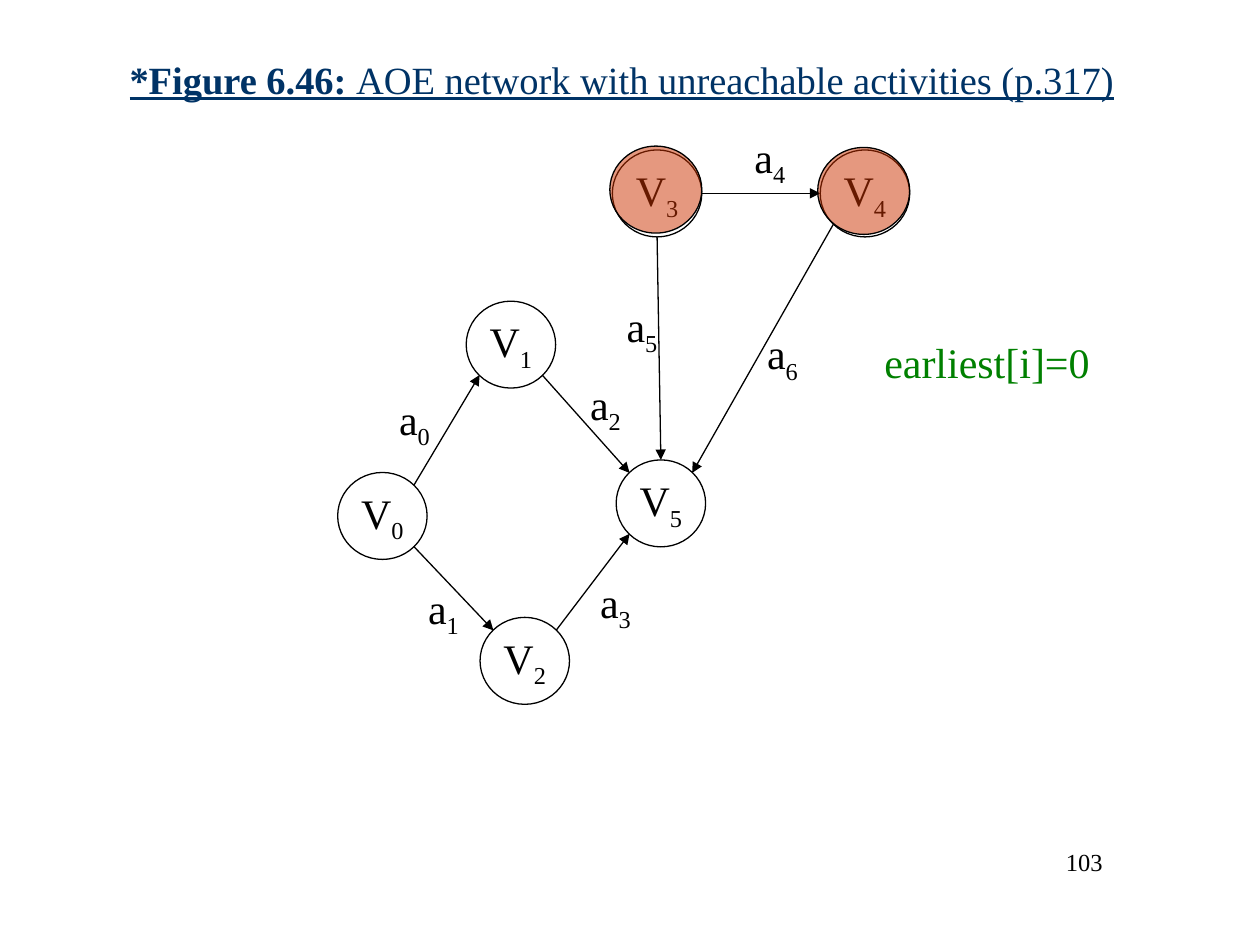
from lxml.etree import SubElement
from pptx import Presentation
from pptx.dml.color import RGBColor
from pptx.enum.shapes import MSO_CONNECTOR, MSO_SHAPE
from pptx.enum.text import MSO_ANCHOR, MSO_AUTO_SIZE, PP_ALIGN
from pptx.oxml.ns import qn
from pptx.util import Inches, Pt

BLACK = RGBColor(0x00, 0x00, 0x00)
WHITE = RGBColor(0xFF, 0xFF, 0xFF)
NAVY = RGBColor(0x00, 0x33, 0x66)
GREEN = RGBColor(0x00, 0x80, 0x00)
RED = RGBColor(0xCC, 0x33, 0x00)
FONT = "Times New Roman"

NODE_W, NODE_H = 0.71, 0.69
NODES = {0: (2.68, 3.75), 1: (3.7, 2.39), 2: (3.81, 4.9),
         3: (4.86, 1.19), 4: (6.51, 1.19), 5: (4.89, 3.65)}
UNREACHABLE = [(4.84, 1.16), (6.49, 1.17)]
SITES = {"t": (0.5, 0), "b": (0.5, 1), "l": (0, 0.5), "r": (1, 0.5),
         "tl": (0.15, 0.15), "tr": (0.85, 0.15),
         "bl": (0.15, 0.85), "br": (0.85, 0.85)}
EDGES = [
    (0, "tr", 1, "bl", (3.06, 3.07, 0.46)),
    (0, "br", 2, "tl", (3.29, 4.57, 0.46)),
    (1, "br", 5, "tl", (4.55, 2.95, 0.51)),
    (2, "tr", 5, "bl", (4.62, 4.52, 0.53)),
    (3, "r", 4, "l", (5.88, 0.99, 0.46)),
    (3, "b", 5, "t", (4.82, 2.33, 0.55)),
    (4, "bl", 5, "tr", (5.97, 2.55, 0.48)),
]


def style_run(r, size=24, color=BLACK):
    """Set the font, size and colour of a run."""
    r.font.name = FONT
    r.font.size = Pt(size)
    r.font.color.rgb = color


def write_indexed(tf, letter, index):
    """Write a centred letter with a subscript index."""
    tf.word_wrap = False
    tf.vertical_anchor = MSO_ANCHOR.MIDDLE
    p = tf.paragraphs[0]
    p.alignment = PP_ALIGN.CENTER
    for text in (letter, str(index)):
        r = p.add_run()
        r.text = text
        style_run(r)
    r.font._element.set("baseline", "-25000")


def add_text(s, text, x, y, w, h, size=24, color=BLACK,
             align=PP_ALIGN.LEFT, anchor=MSO_ANCHOR.MIDDLE):
    """Add a text box with one run."""
    tf = s.shapes.add_textbox(Inches(x), Inches(y), Inches(w), Inches(h)).text_frame
    tf.word_wrap = True
    tf.vertical_anchor = anchor
    p = tf.paragraphs[0]
    p.text = text
    p.alignment = align
    style_run(p.runs[0], size, color)
    return tf


def add_ellipse(s, x, y, w, h, color):
    """Add a filled ellipse with a thin black outline."""
    sp = s.shapes.add_shape(MSO_SHAPE.OVAL, Inches(x), Inches(y), Inches(w), Inches(h))
    sp.shadow.inherit = False
    sp.fill.solid()
    sp.fill.fore_color.rgb = color
    sp.line.color.rgb = BLACK
    sp.line.width = Pt(0.75)
    return sp


def add_arrow(s, start, end):
    """Add a thin black arrow between two points."""
    cxn = s.shapes.add_connector(MSO_CONNECTOR.STRAIGHT, *map(Inches, start + end))
    cxn.line.color.rgb = BLACK
    cxn.line.width = Pt(0.75)
    spPr = cxn._element.spPr
    SubElement(spPr.find(qn("a:ln")), qn("a:tailEnd"), type="triangle")
    SubElement(spPr, qn("a:effectLst"))


def add_label(s, index, x, y, w):
    """Add the label of an activity."""
    tf = s.shapes.add_textbox(Inches(x), Inches(y), Inches(w), Inches(0.56)).text_frame
    tf.auto_size = MSO_AUTO_SIZE.SHAPE_TO_FIT_TEXT
    write_indexed(tf, "a", index)


def site(node, name):
    """Return the point of a connection site on a node."""
    x, y = NODES[node]
    fx, fy = SITES[name]
    return x + fx * NODE_W, y + fy * NODE_H


def add_title(s, x, y, w, h):
    """Add the underlined title with its bold figure number."""
    tf = add_text(s, "*Figure 6.46: ", x, y, w, h, 22, NAVY)
    p = tf.paragraphs[0]
    r = p.add_run()
    r.text = "AOE network with unreachable activities (p.317)"
    style_run(r, 22, NAVY)
    p.runs[0].font.bold = True
    for r in p.runs:
        r.font.underline = True


def add_network(s):
    """Add the nodes, the labelled activities and the unreachable marks."""
    for index, (x, y) in NODES.items():
        sp = add_ellipse(s, x, y, NODE_W, NODE_H, WHITE)
        write_indexed(sp.text_frame, "V", index)
    for index, (tail, tail_site, head, head_site, label_box) in enumerate(EDGES):
        add_arrow(s, site(tail, tail_site), site(head, head_site))
        add_label(s, index, *label_box)
    for x, y in UNREACHABLE:
        sp = add_ellipse(s, x, y, 0.73, NODE_H, RED)
        clr = sp._element.spPr.find(qn("a:solidFill"))[0]
        SubElement(clr, qn("a:alpha"), val="50000")


def main():
    """Build the slide and save it."""
    prs = Presentation()
    prs.slide_width, prs.slide_height = Inches(10), Inches(7.5)
    s = prs.slides.add_slide(prs.slide_layouts[6])
    add_text(s, "103", 6.77, 6.67, 2.08, 0.5, 14,
             align=PP_ALIGN.RIGHT, anchor=MSO_ANCHOR.TOP)
    add_title(s, 0.93, 0, 8.5, 1.25)
    add_network(s)
    tf = add_text(s, "earliest[i]=0", 6.92, 2.62, 1.83, 0.5, color=GREEN)
    tf.word_wrap = False
    prs.save("out.pptx")


if __name__ == "__main__":
    main()
